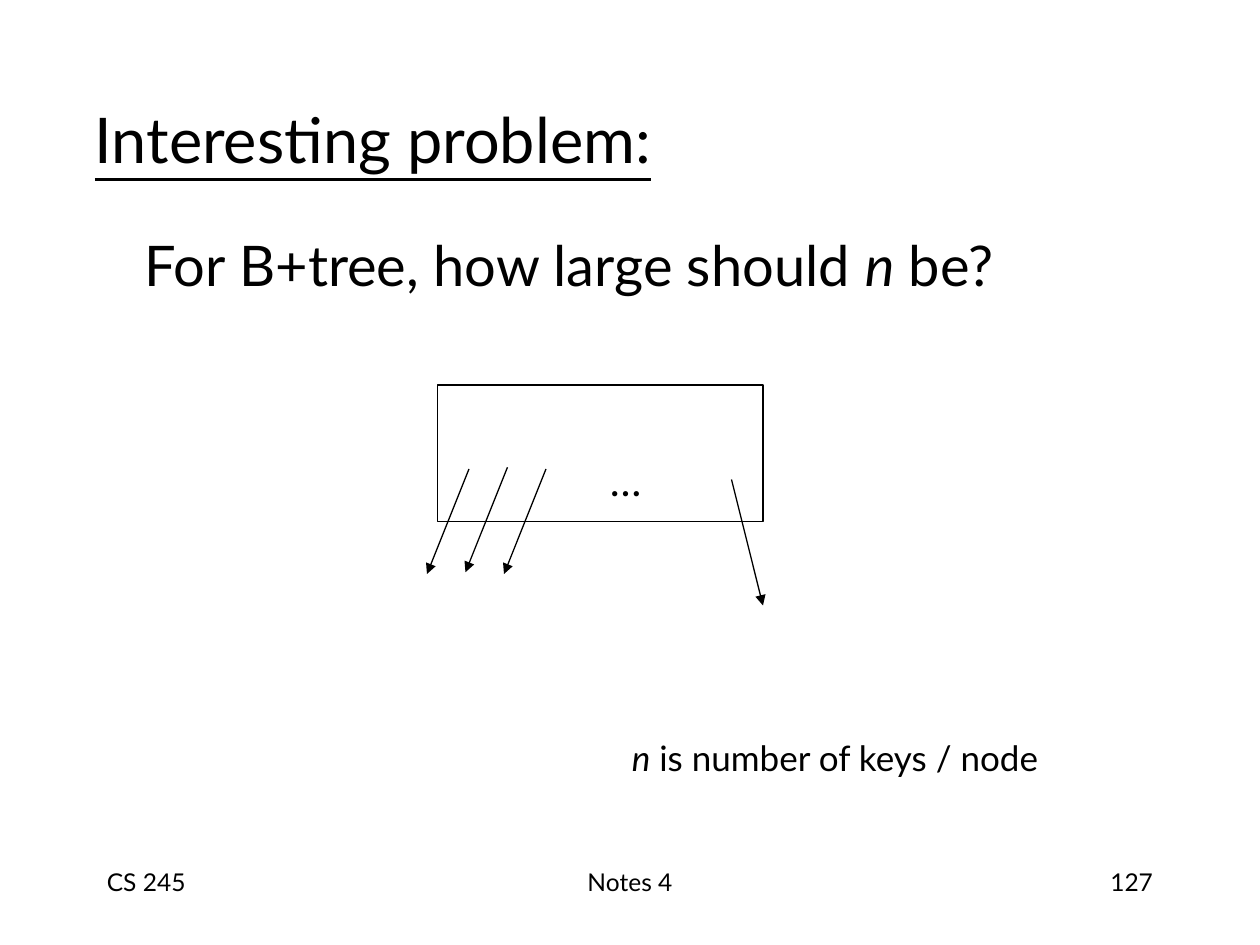
import dataclasses

import lxml.etree
import pptx
import pptx.dml.color
import pptx.enum.shapes
import pptx.enum.text
import pptx.oxml.ns
import pptx.util

Pt = pptx.util.Pt
Align = pptx.enum.text.PP_ALIGN
Anchor = pptx.enum.text.MSO_ANCHOR


@dataclasses.dataclass(frozen=True)
class Theme:
    font: str = "Lato"
    ink: pptx.dml.color.RGBColor = pptx.dml.color.RGBColor(0, 0, 0)
    paper: pptx.dml.color.RGBColor = pptx.dml.color.RGBColor(255, 255, 255)
    title: int = 36
    body: int = 32
    ellipsis: int = 24
    caption: int = 20
    footer: int = 14
    line: float = 0.75


THEME = Theme()


def place(box, left, top, width, height):
    box.left, box.top = Pt(left), Pt(top)
    box.width, box.height = Pt(width), Pt(height)


def write(box, text, size, align=Align.LEFT, anchor=Anchor.TOP,
          underline=False, wrap=True, indent=0):
    frame = box.text_frame
    frame.auto_size = pptx.enum.text.MSO_AUTO_SIZE.NONE
    frame.word_wrap = wrap
    frame.vertical_anchor = anchor
    para = frame.paragraphs[0]
    para.alignment = align
    para.space_before = Pt(0)
    properties = para._p.get_or_add_pPr()
    properties.set("marL", str(Pt(indent)))
    properties.set("indent", "0")
    lxml.etree.SubElement(properties, pptx.oxml.ns.qn("a:buNone"))
    for number, piece in enumerate(text.split("*")):
        if piece:
            span = para.add_run()
            span.text = piece
            span.font.name = THEME.font
            span.font.size = Pt(size)
            span.font.color.rgb = THEME.ink
            span.font.italic = number % 2 == 1
            span.font.underline = underline


def add_label(page, text, size, left, top, width, height, **style):
    box = page.shapes.add_textbox(Pt(left), Pt(top), Pt(width), Pt(height))
    write(box, text, size, **style)


def add_node(page, left, top, width, height):
    node = page.shapes.add_shape(
        pptx.enum.shapes.MSO_SHAPE.RECTANGLE,
        Pt(left), Pt(top), Pt(width), Pt(height))
    node.shadow.inherit = False
    node.fill.solid()
    node.fill.fore_color.rgb = THEME.paper
    node.line.color.rgb = THEME.ink
    node.line.width = Pt(THEME.line)


def add_arrow(page, left, top, across, down):
    arrow = page.shapes.add_connector(
        pptx.enum.shapes.MSO_CONNECTOR.STRAIGHT,
        Pt(left), Pt(top), Pt(left + across), Pt(top + down))
    arrow.line.color.rgb = THEME.ink
    arrow.line.width = Pt(THEME.line)
    lxml.etree.SubElement(
        arrow.line._get_or_add_ln(), pptx.oxml.ns.qn("a:tailEnd"), type="triangle")
    lxml.etree.SubElement(
        arrow._element.spPr, pptx.oxml.ns.qn("a:effectLst"))


def add_footers(page):
    for text, left, width, align in (
        ("CS 245", 54, 150, Align.LEFT),
        ("Notes 4", 246, 228, Align.CENTER),
        ("127", 516, 150, Align.RIGHT),
    ):
        add_label(page, text, THEME.footer, left, 492, width, 36, align=align)


def add_tree_node(page):
    add_node(page, 250, 220, 186, 78)
    for number, top in enumerate((268, 267, 268)):
        add_arrow(page, 268 + 22 * number, top, -24, 60)
    add_arrow(page, 418, 274, 18, 72)
    add_label(page, "…", THEME.ellipsis, 341, 256, 33, 36,
              align=Align.CENTER, anchor=Anchor.MIDDLE, wrap=False)


def main():
    deck = pptx.Presentation()
    deck.slide_width, deck.slide_height = Pt(720), Pt(540)
    page = deck.slides.add_slide(deck.slide_layouts[1])
    title, body = page.placeholders
    place(title, 47, 34, 612, 90)
    write(title, "Interesting problem:", THEME.title,
          anchor=Anchor.MIDDLE, underline=True)
    place(body, 48, 128, 612, 64)
    write(body, "For B+tree, how large should *n* be?", THEME.body, indent=27.5)
    add_footers(page)
    add_tree_node(page)
    add_label(page, "*n* is number of keys / node", THEME.caption,
              345.5, 417, 263.5, 32,
              align=Align.CENTER, anchor=Anchor.MIDDLE, wrap=False)
    deck.save("out.pptx")


if __name__ == "__main__":
    main()
